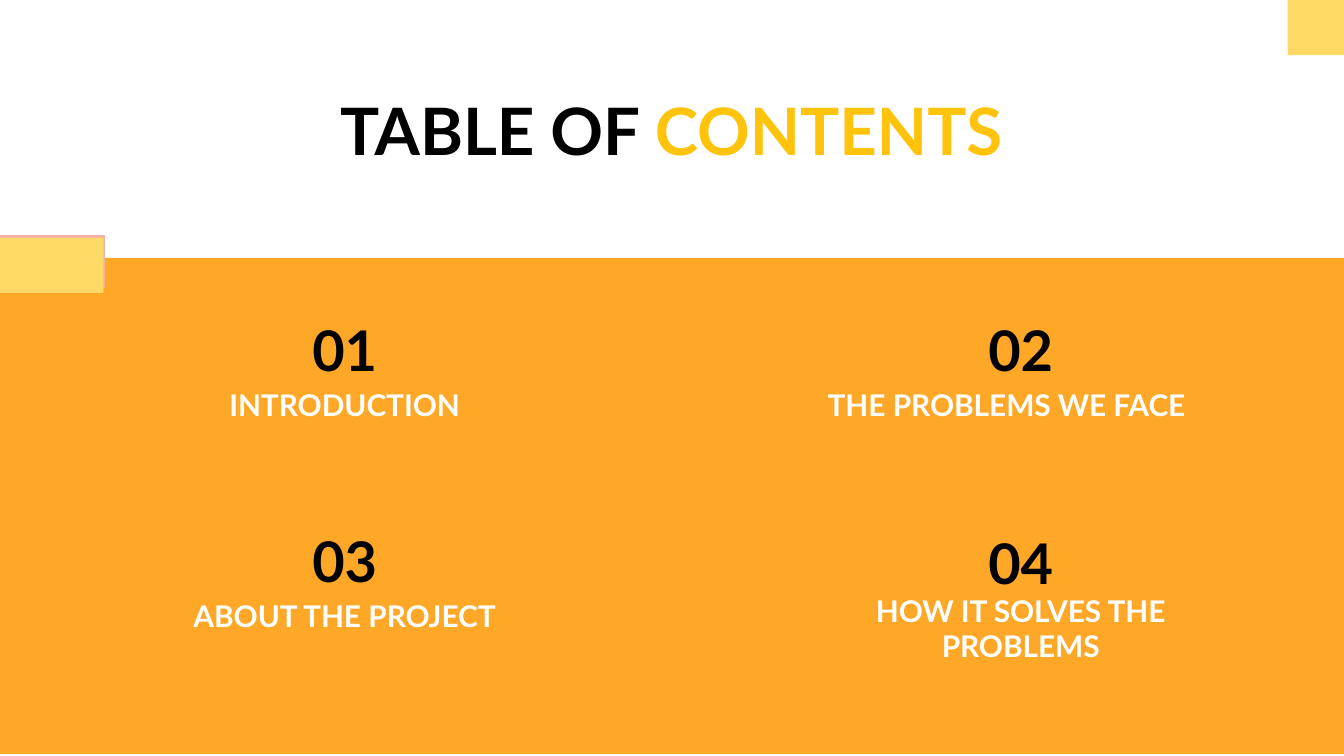
from pptx import Presentation
from pptx.dml.color import RGBColor
from pptx.enum.shapes import MSO_SHAPE
from pptx.enum.text import MSO_ANCHOR, MSO_AUTO_SIZE, PP_ALIGN
from pptx.util import Inches, Pt

COLORS = {
    "panel": "FFA828",
    "edge": "F6B1A7",
    "accent": "FFD966",
    "highlight": "FFC30B",
    "dark": "000000",
    "light": "FFFFFF",
}
TITLE_BOX = (0.65, 0.72, 8.69, 0.49)
NUMBER_SIZE = (1.95, 0.41)
DECORATIONS = [
    ("panel", (0, 1.92, 10, 3.69)),
    ("edge", (9.61, 0, 0.39, 0.39)),
    ("edge", (0, 1.75, 0.78, 0.39)),
    ("accent", (0, 1.77, 0.77, 0.41)),
    ("accent", (9.58, 0, 0.42, 0.41)),
]
ENTRIES = [
    ("01", "INTRODUCTION", (1.59, 2.39), (-0.34, 0.36, 2.63, 0.49)),
    ("02", "THE PROBLEMS WE FACE", (6.62, 2.39), (-0.75, 0.36, 3.24, 0.49)),
    ("03", "ABOUT THE PROJECT", (1.59, 3.96), (-0.34, 0.36, 2.63, 0.49)),
    ("04", "HOW IT SOLVES THE PROBLEMS", (6.62, 3.98), (-0.57, 0.36, 3.09, 0.7)),
]


def color(name):
    """Return the named colour."""
    return RGBColor.from_string(COLORS[name])


def add_block(slide, fill, box):
    """Add a plain rectangle without an outline."""
    shape = slide.shapes.add_shape(MSO_SHAPE.RECTANGLE, *map(Inches, box))
    shape.shadow.inherit = False
    shape.fill.solid()
    shape.fill.fore_color.rgb = color(fill)
    shape.line.fill.background()


def write_text(shape, runs, size, anchor=MSO_ANCHOR.MIDDLE):
    """Write centred bold runs, given as text and colour pairs."""
    frame = shape.text_frame
    frame_format = {
        "word_wrap": True,
        "auto_size": MSO_AUTO_SIZE.NONE,
        "vertical_anchor": anchor,
    }
    sides = ("left", "top", "right", "bottom")
    frame_format.update({f"margin_{side}": Inches(0.1) for side in sides})
    for name, value in frame_format.items():
        setattr(frame, name, value)
    paragraph = frame.paragraphs[0]
    paragraph.alignment = PP_ALIGN.CENTER
    for text, color_name in runs:
        run = paragraph.add_run()
        run.text = text
        for name, value in {"name": "Lato", "size": Pt(size), "bold": True}.items():
            setattr(run.font, name, value)
        run.font.color.rgb = color(color_name)


def place_title(slide, box):
    """Move the title placeholder to the box and fill it."""
    title = slide.shapes.title
    for name, value in zip(("left", "top", "width", "height"), box):
        setattr(title, name, Inches(value))
    write_text(title, [("TABLE OF ", "dark"), ("CONTENTS", "highlight")], 35)


def add_entry(slide, number, heading, origin, heading_box):
    """Add a number at the origin and its heading relative to it."""
    left, top = origin
    offset_x, offset_y, width, height = heading_box
    heading_place = (left + offset_x, top + offset_y, width, height)
    heading_shape = slide.shapes.add_textbox(*map(Inches, heading_place))
    write_text(heading_shape, [(heading, "light")], 16, MSO_ANCHOR.BOTTOM)
    number_shape = slide.shapes.add_textbox(*map(Inches, origin + NUMBER_SIZE))
    write_text(number_shape, [(number, "dark")], 30)


def main():
    """Build and save the contents slide."""
    presentation = Presentation()
    presentation.slide_width = Inches(10)
    presentation.slide_height = presentation.slide_width * 9 // 16
    slide = presentation.slides.add_slide(presentation.slide_layouts[5])
    slide.background.fill.solid()
    slide.background.fill.fore_color.rgb = color("light")
    for fill, box in DECORATIONS:
        add_block(slide, fill, box)
    place_title(slide, TITLE_BOX)
    for entry in ENTRIES:
        add_entry(slide, *entry)
    presentation.save("out.pptx")


if __name__ == "__main__":
    main()
